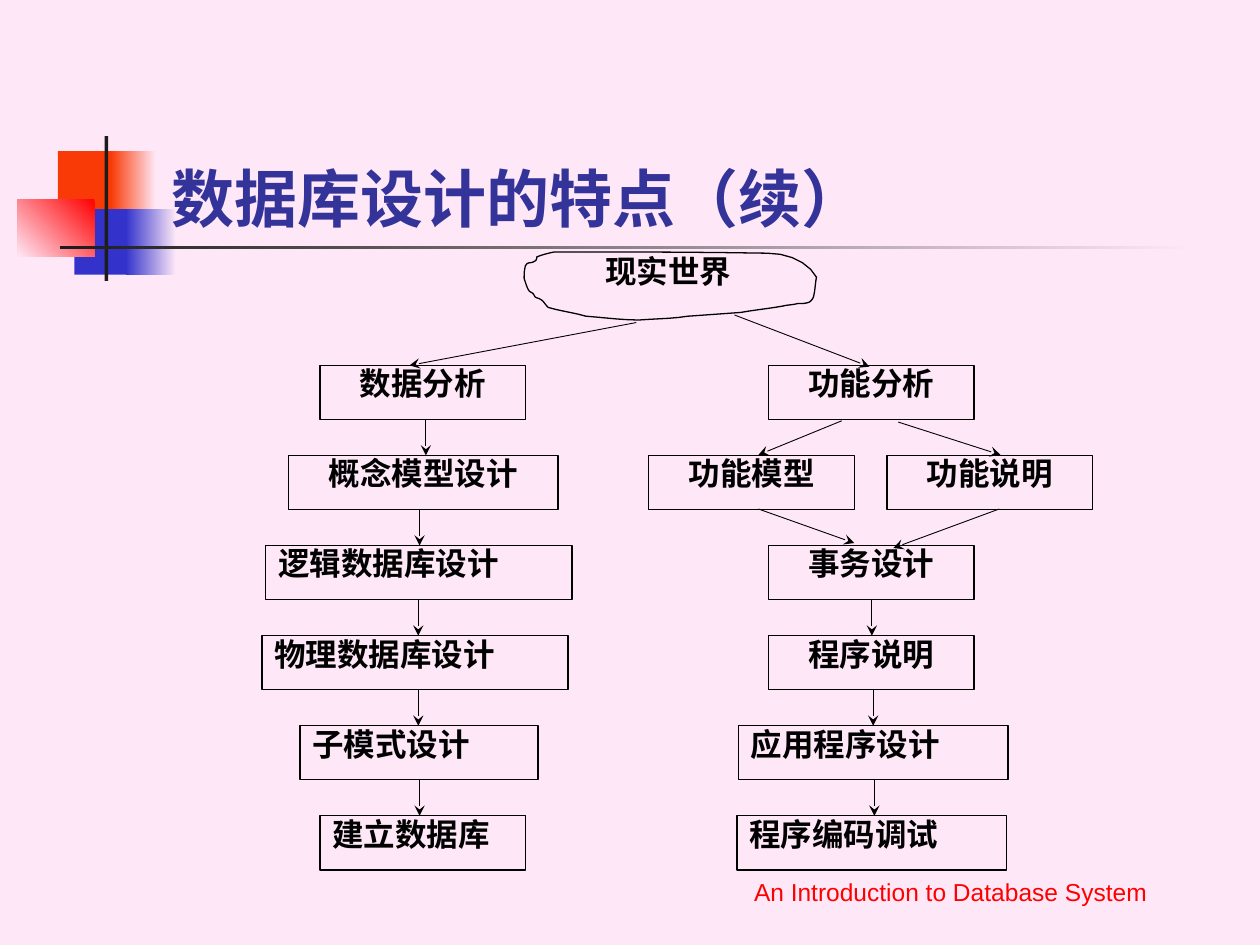
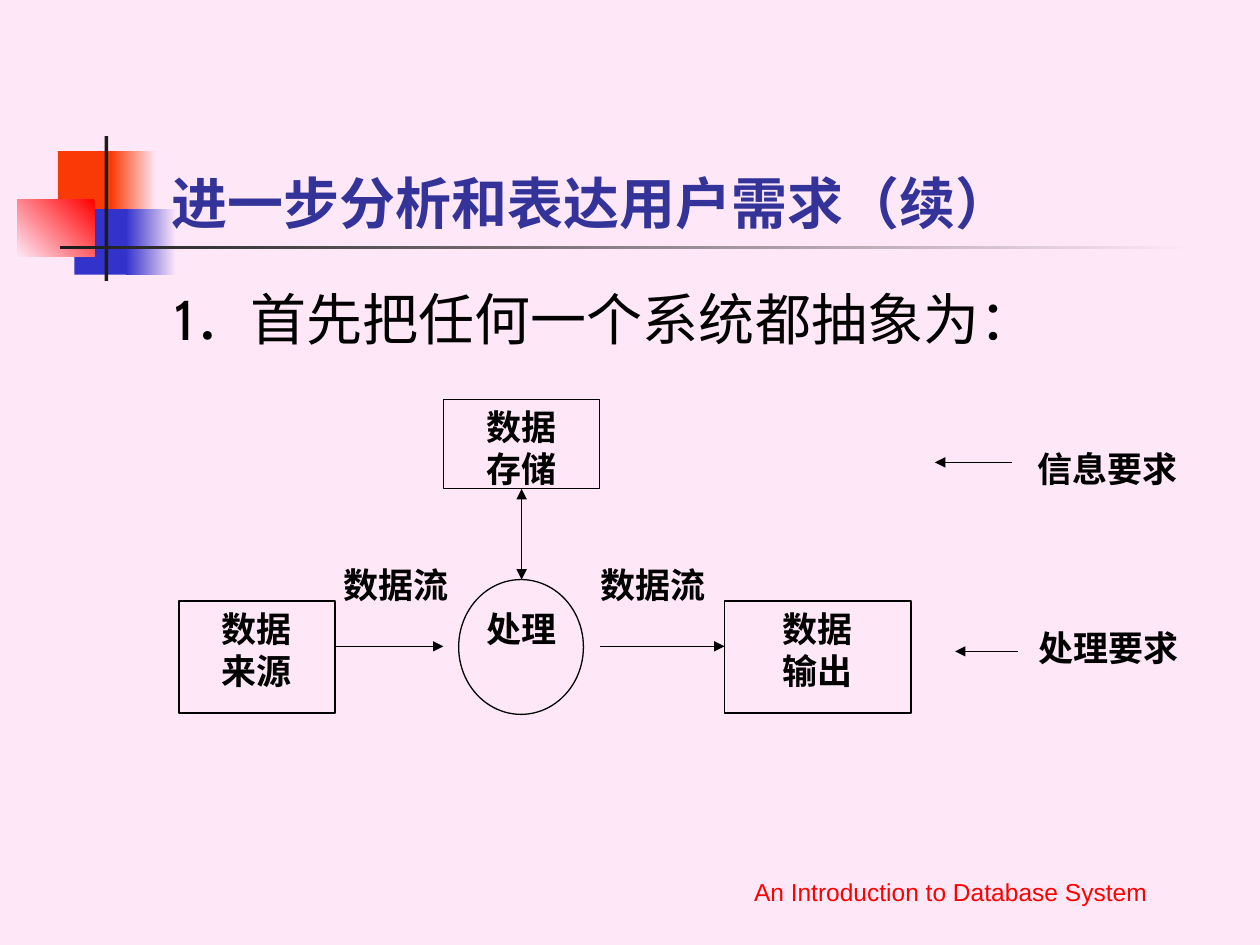
from lxml import etree
from pptx import Presentation
from pptx.dml.color import RGBColor
from pptx.enum.shapes import MSO_CONNECTOR, MSO_SHAPE
from pptx.enum.text import MSO_ANCHOR, MSO_AUTO_SIZE, PP_ALIGN
from pptx.oxml.ns import qn
from pptx.util import Inches, Pt

RECT, OVAL = MSO_SHAPE.RECTANGLE, MSO_SHAPE.OVAL
STRAIGHT = MSO_CONNECTOR.STRAIGHT
LEFT, CENTER, JUSTIFY = PP_ALIGN.LEFT, PP_ALIGN.CENTER, PP_ALIGN.JUSTIFY
TOP, BOTTOM = MSO_ANCHOR.TOP, MSO_ANCHOR.BOTTOM
NO_AUTOFIT = MSO_AUTO_SIZE.NONE

COLORS = {
    "background": "FEE8F7",
    "orange": "FA3A06",
    "blue": "3333CC",
    "red": "FF0000",
    "dark": "1C1C1C",
    "title": "333399",
    "ink": "000000",
}
TITLE_FONT, BOX_FONT, FOOTER_FONT = "Cabin", "Times New Roman", "Arial"
FOOTER = "An Introduction to Database System"

ROW_TOP, ROW_STEP, ROW_HEIGHT = 2.9, 0.715, 0.43
DATA_STEPS = [
    ("数据分析", 2.54, 1.63, CENTER),
    ("概念模型设计", 2.29, 2.14, CENTER),
    ("逻辑数据库设计", 2.11, 2.43, JUSTIFY),
    ("物理数据库设计", 2.08, 2.43, JUSTIFY),
    ("子模式设计", 2.38, 1.89, JUSTIFY),
    ("建立数据库", 2.54, 1.63, JUSTIFY),
]
FUNCTION_STEPS = [
    (0, "功能分析", 6.1, 1.63, CENTER),
    (1, "功能模型", 5.15, 1.63, CENTER),
    (1, "功能说明", 7.04, 1.63, CENTER),
    (2, "事务设计", 6.1, 1.63, CENTER),
    (3, "程序说明", 6.1, 1.63, CENTER),
    (4, "应用程序设计", 5.86, 2.14, JUSTIFY),
    (5, "程序编码调试", 5.85, 2.14, JUSTIFY),
]
DOWN_ARROWS = [
    (0, 3.38), (1, 3.33), (2, 3.32), (3, 3.32), (4, 3.33),
    (2, 6.92), (3, 6.93), (4, 6.94),
]
BRANCH_ARROWS = [
    (5.05, 2.56, 3.25, 2.9),
    (5.83, 2.5, 6.9, 2.91),
    (6.68, 3.34, 6.02, 3.61),
    (7.13, 3.35, 7.94, 3.61),
    (6.02, 4.04, 6.78, 4.31),
    (7.93, 4.04, 7.09, 4.35),
]
CLOUD_START = (4.26, 2.04)
CLOUD_CURVES = [
    ((4.31, 2.02), (4.35, 2.01), (4.4, 2)),
    ((4.96, 2), (5.53, 2), (6.09, 2.01)),
    ((6.27, 2.01), (6.42, 2.09), (6.48, 2.2)),
    ((6.47, 2.25), (6.47, 2.3), (6.46, 2.34)),
    ((6.46, 2.36), (6.44, 2.39), (6.42, 2.4)),
    ((6.39, 2.41), (6.36, 2.41), (6.33, 2.41)),
    ((6.29, 2.42), (6.25, 2.42), (6.21, 2.43)),
    ((6.1, 2.45), (5.99, 2.46), (5.88, 2.48)),
    ((5.74, 2.49), (5.46, 2.51), (5.46, 2.51)),
    ((5.34, 2.53), (5.2, 2.53), (5.07, 2.54)),
    ((4.93, 2.54), (4.79, 2.52), (4.65, 2.51)),
    ((4.55, 2.48), (4.45, 2.47), (4.35, 2.44)),
    ((4.31, 2.4), (4.32, 2.38), (4.25, 2.36)),
    ((4.24, 2.35), (4.24, 2.34), (4.23, 2.33)),
    ((4.22, 2.32), (4.21, 2.32), (4.2, 2.31)),
    ((4.18, 2.28), (4.17, 2.24), (4.16, 2.21)),
    ((4.16, 2.18), (4.16, 2.15), (4.17, 2.11)),
    ((4.19, 2.07), (4.21, 2.1), (4.25, 2.07)),
    ((4.26, 2.06), (4.26, 2.05), CLOUD_START),
]


def rgb(name):
    return RGBColor.from_string(COLORS[name])


def write(tf, text, size=18, font=BOX_FONT, color="ink", bold=True, align=CENTER,
          anchor=TOP, inset=0.1, spacing=None, before=None, hanging=None):
    tf.word_wrap = True
    tf.auto_size = NO_AUTOFIT
    tf.vertical_anchor = anchor
    tf.margin_left = tf.margin_right = Inches(inset)
    tf.margin_top = tf.margin_bottom = Inches(0.05)
    for i, line in enumerate(text.split("\n")):
        p = tf.add_paragraph() if i else tf.paragraphs[0]
        p.alignment = align
        if spacing:
            p.line_spacing = spacing
        if before:
            p.space_before = Pt(before)
        if hanging:
            pPr = p._p.get_or_add_pPr()
            pPr.set("marL", str(Inches(hanging)))
            pPr.set("indent", str(-Inches(hanging)))
        r = p.add_run()
        r.text = line
        r.font.size = Pt(size)
        r.font.name = font
        r.font.bold = bold
        r.font.color.rgb = rgb(color)


def add_text(slide, box, text, **fmt):
    sp = slide.shapes.add_textbox(*map(Inches, box))
    write(sp.text_frame, text, **fmt)


def outline(sp):
    sp.shadow.inherit = False
    sp.fill.background()
    sp.line.color.rgb = rgb("ink")
    sp.line.width = Pt(0.74)


def add_box(slide, box, text="", shape=RECT, **fmt):
    sp = slide.shapes.add_shape(shape, *map(Inches, box))
    outline(sp)
    if text:
        write(sp.text_frame, text, **fmt)


def add_arrow(slide, x1, y1, x2, y2, width=0.74, ends=("tailEnd",), kind="triangle"):
    cn = slide.shapes.add_connector(STRAIGHT, *map(Inches, (x1, y1, x2, y2)))
    cn.line.color.rgb = rgb("ink")
    cn.line.width = Pt(width)
    ln = cn.line._get_or_add_ln()
    for end in ends:
        etree.SubElement(ln, qn("a:" + end), type=kind)
    etree.SubElement(cn._element.spPr, qn("a:effectLst"))


def add_cloud(slide):
    points, start = [], CLOUD_START
    for c1, c2, end in CLOUD_CURVES:
        for t in (0.2, 0.4, 0.6, 0.8, 1):
            u = 1 - t
            points.append(tuple(
                Inches(u**3 * a + 3 * u * u * t * b + 3 * u * t * t * c + t**3 * d)
                for a, b, c, d in zip(start, c1, c2, end)))
        start = end
    fb = slide.shapes.build_freeform(*map(Inches, CLOUD_START))
    fb.add_line_segments(points, close=True)
    outline(fb.convert_to_shape())


def add_block(slide, box, color, to=None, angle=180):
    sp = slide.shapes.add_shape(RECT, *map(Inches, box))
    sp.shadow.inherit = False
    sp.line.fill.background()
    if to:
        sp.fill.gradient()
        sp.fill.gradient_angle = angle
        for stop, name in zip(sp.fill.gradient_stops, (color, to)):
            stop.color.rgb = rgb(name)
    else:
        sp.fill.solid()
        sp.fill.fore_color.rgb = rgb(color)
    return sp


def decorate_layout(layout, slide):
    blocks = [
        add_block(slide, (0.46, 1.2, 0.48, 0.52), "orange"),
        add_block(slide, (0.88, 1.2, 0.36, 0.52), "background", "orange"),
        add_block(slide, (0.59, 1.66, 0.46, 0.52), "blue"),
        add_block(slide, (1, 1.66, 0.4, 0.52), "background", "blue"),
        add_block(slide, (0.14, 1.58, 0.61, 0.46), "red", "background", 225),
        add_block(slide, (0.83, 1.08, 0.03, 1.15), "dark"),
        add_block(slide, (0.48, 1.95, 9, 0.03), "background", "dark"),
    ]
    for sp in blocks:
        layout.shapes.element.append(sp._element)


def add_slide(prs, layout, title, size):
    slide = prs.slides.add_slide(layout)
    sp = slide.shapes.title
    sp.left, sp.top, sp.width, sp.height = map(Inches, (1.26, 0.67, 8.52, 1.25))
    write(sp.text_frame, title, size=size, font=TITLE_FONT, color="title",
          align=LEFT, anchor=BOTTOM)
    add_text(slide, (5.5, 6.74, 4.09, 0.5), FOOTER, size=14, font=FOOTER_FONT,
             color="red", bold=False, anchor=BOTTOM)
    return slide


def row_y(row):
    return ROW_TOP + row * ROW_STEP


def draw_design_steps(slide):
    add_cloud(slide)
    add_text(slide, (4.52, 2.01, 1.57, 0.51), "现实世界", spacing=0.8)
    data_steps = [(row, *step) for row, step in enumerate(DATA_STEPS)]
    for row, text, x, width, align in data_steps + FUNCTION_STEPS:
        add_box(slide, (x, row_y(row), width, ROW_HEIGHT), text,
                align=align, spacing=0.8)
    down = [(x, row_y(row) + ROW_HEIGHT, x, row_y(row + 1)) for row, x in DOWN_ARROWS]
    for ends in down + BRANCH_ARROWS:
        add_arrow(slide, *ends, width=0.51, kind="stealth")


def draw_data_flow(slide):
    add_text(slide, (1.29, 2.21, 8.5, 4.5), "1．首先把任何一个系统都抽象为：",
             size=32, font=TITLE_FONT, bold=False, align=LEFT, before=8, hanging=0.38)
    add_box(slide, (3.64, 4.6, 0.99, 1.07), shape=OVAL)
    for box, text in [
        ((3.52, 3.17, 1.24, 0.71), "数据\n存储"),
        ((1.42, 4.77, 1.24, 0.89), "数据\n来源"),
        ((5.75, 4.77, 1.48, 0.89), "数据\n输出"),
    ]:
        add_box(slide, box, text, size=20, inset=0)
    for box, text in [
        ((2.65, 4.42, 0.99, 0.71), "数据流"),
        ((4.63, 4.42, 1.11, 0.71), "数据流"),
        ((3.77, 4.77, 0.74, 0.53), "处理"),
        ((8.17, 3.5, 1.24, 0.73), "信息要求"),
        ((8.18, 4.92, 1.24, 0.57), "处理要求"),
    ]:
        add_text(slide, box, text, size=20, inset=0)
    for ends in [
        (2.65, 5.13, 3.52, 5.13),
        (4.76, 5.13, 5.75, 5.13),
        (8.03, 3.67, 7.42, 3.67),
        (8.08, 5.17, 7.58, 5.17),
    ]:
        add_arrow(slide, *ends)
    add_arrow(slide, 4.14, 3.88, 4.14, 4.6, ends=("headEnd", "tailEnd"))


def main():
    prs = Presentation()
    prs.slide_width, prs.slide_height = Inches(10), Inches(7.5)
    fill = prs.slide_master.background.fill
    fill.solid()
    fill.fore_color.rgb = rgb("background")
    layout = prs.slide_layouts[5]
    steps = add_slide(prs, layout, "数据库设计的特点（续）", 36)
    decorate_layout(layout, steps)
    draw_design_steps(steps)
    flow = add_slide(prs, layout, "进一步分析和表达用户需求（续）", 32)
    draw_data_flow(flow)
    prs.save("out.pptx")


main()
